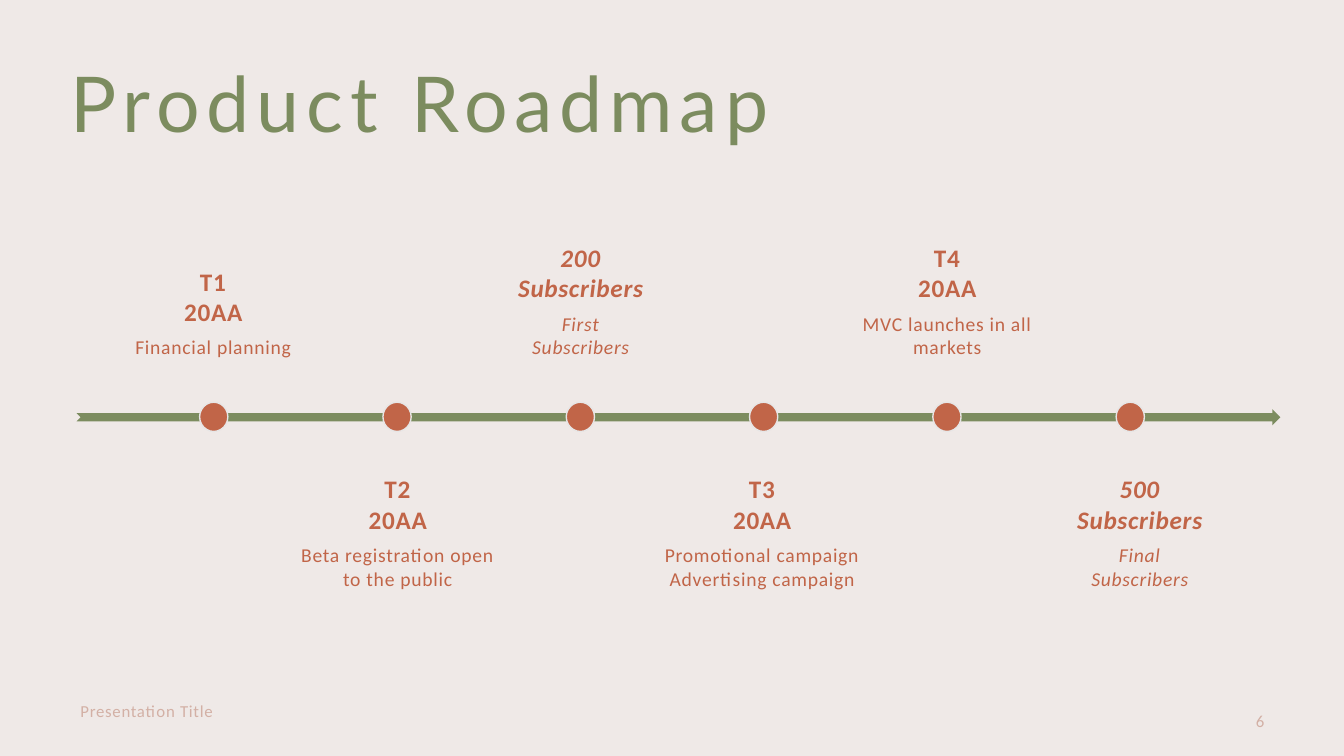
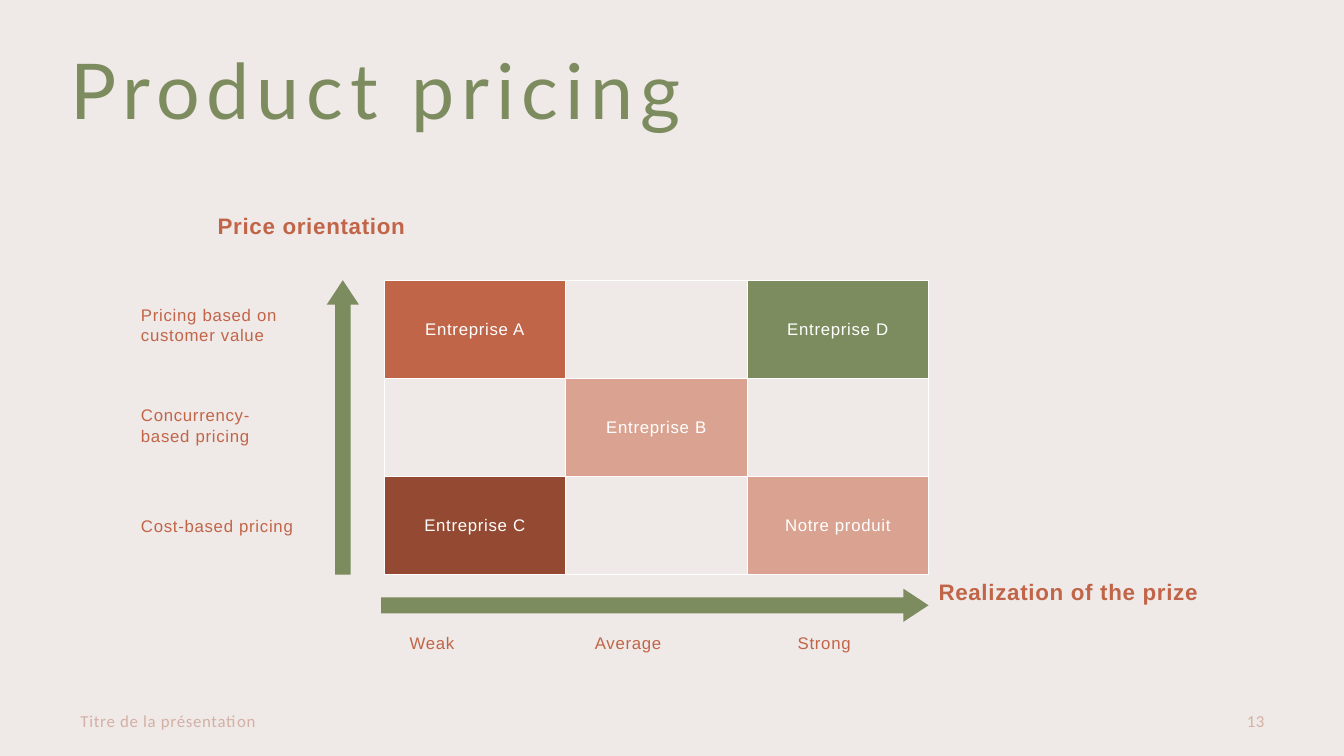
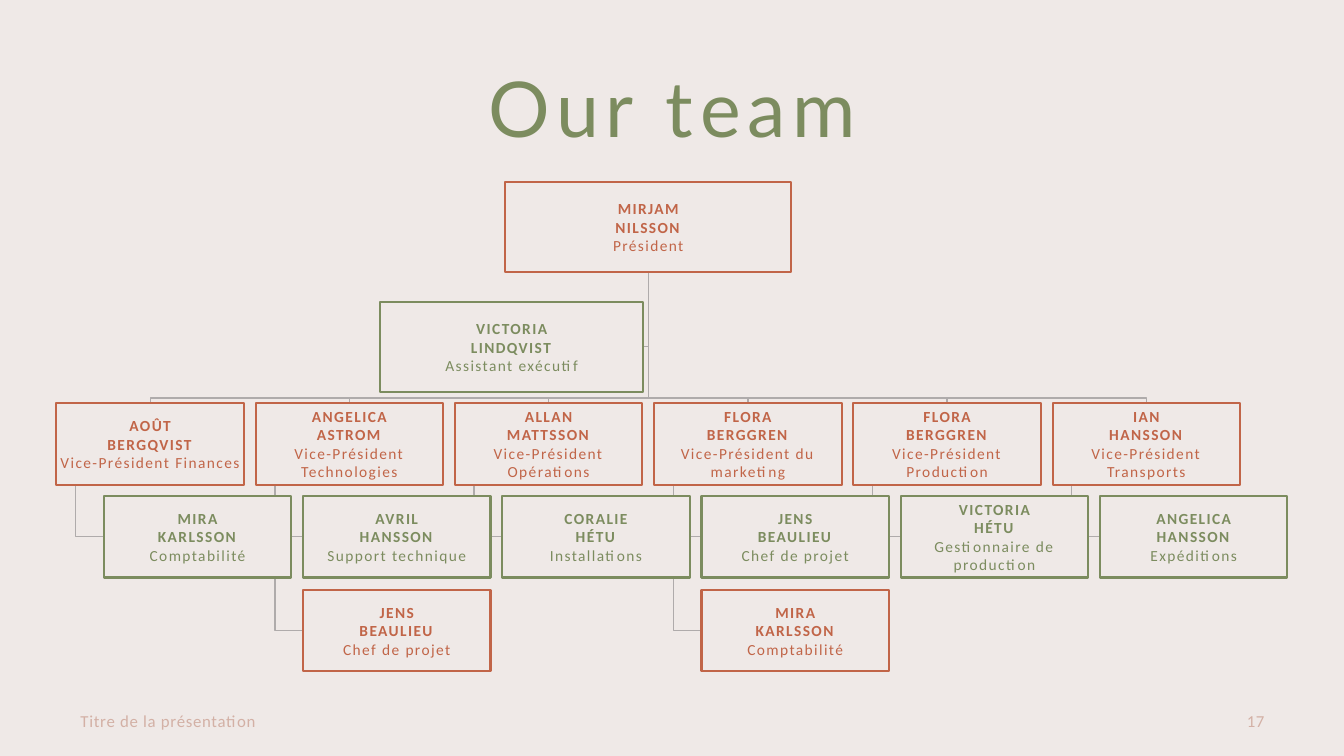
"""Build a three-slide product deck: roadmap, pricing matrix and team chart."""
from dataclasses import dataclass, replace

from lxml import etree
from pptx import Presentation
from pptx.dml.color import RGBColor
from pptx.enum.shapes import MSO_SHAPE
from pptx.enum.text import MSO_ANCHOR, PP_ALIGN
from pptx.oxml.ns import qn
from pptx.util import Inches, Pt

LEFT, CENTER, RIGHT = PP_ALIGN.LEFT, PP_ALIGN.CENTER, PP_ALIGN.RIGHT
TOP, MIDDLE, BOTTOM = MSO_ANCHOR.TOP, MSO_ANCHOR.MIDDLE, MSO_ANCHOR.BOTTOM
RECTANGLE, OVAL = MSO_SHAPE.RECTANGLE, MSO_SHAPE.OVAL
NOTCHED_ARROW = MSO_SHAPE.NOTCHED_RIGHT_ARROW
UP_ARROW, RIGHT_ARROW = MSO_SHAPE.UP_ARROW, MSO_SHAPE.RIGHT_ARROW

CREAM = RGBColor(0xEF, 0xE9, 0xE7)
GREEN = RGBColor(0x7C, 0x8C, 0x5F)
RUST = RGBColor(0xC1, 0x65, 0x48)
DARK_RUST = RGBColor(0x94, 0x4A, 0x32)
PINK = RGBColor(0xDA, 0xA3, 0x91)
MUTED = RGBColor(0xD3, 0xB0, 0xA5)
SILVER = RGBColor(0xE7, 0xE6, 0xE6)
GRAY = RGBColor(0xAF, 0xAB, 0xAB)
WHITE = RGBColor(0xFF, 0xFF, 0xFF)


@dataclass(frozen=True)
class Style:
    """Character formatting of a span."""
    font: str
    size: float
    color: RGBColor
    spacing: float = 0.5
    bold: bool = False
    italic: bool = False


TITLE = Style("Lato", 55, GREEN, spacing=5)
FOOTER = Style("Calibri", 12, MUTED)
MILESTONE = Style("Calibri", 18, RUST, bold=True)
DETAIL = Style("Calibri", 14, RUST)
AXIS_LABEL = Style("Arial", 12, RUST)
AXIS_TITLE = Style("Arial", 16, RUST, bold=True)
CELL = Style("Arial", 12, WHITE)

MILESTONES = [
    (0.87, 2.49, ["T1", "20AA"], ["Financial planning"], False),
    (2.80, 2.29, ["T2", "20AA"], ["Beta registration open to the public"], False),
    (4.86, 1.80, ["200 Subscribers"], ["First", "Subscribers"], True),
    (6.31, 2.50, ["T3", "20AA"], ["Promotional campaign", "Advertising campaign"], False),
    (8.27, 2.25, ["T4", "20AA"], ["MVC launches in all markets"], False),
    (10.42, 1.77, ["500 Subscribers"], ["Final", "Subscribers"], True),
]

PRICING = [
    [("Entreprise A", RUST), ("", CREAM), ("Entreprise D", GREEN)],
    [("", CREAM), ("Entreprise B", PINK), ("", CREAM)],
    [("Entreprise C", DARK_RUST), ("", CREAM), ("Notre produit", PINK)],
]

TEAMS = [
    [("AOÛT", "BERGQVIST", "Vice-Président Finances"),
     ("MIRA", "KARLSSON", "Comptabilité")],
    [("ANGELICA", "ASTROM", "Vice-Président Technologies"),
     ("AVRIL", "HANSSON", "Support technique"),
     ("JENS", "BEAULIEU", "Chef de projet")],
    [("ALLAN", "MATTSSON", "Vice-Président Opérations"),
     ("CORALIE", "HÉTU", "Installations")],
    [("FLORA", "BERGGREN", "Vice-Président du marketing"),
     ("JENS", "BEAULIEU", "Chef de projet"),
     ("MIRA", "KARLSSON", "Comptabilité")],
    [("FLORA", "BERGGREN", "Vice-Président Production"),
     ("VICTORIA", "HÉTU", "Gestionnaire de production")],
    [("IAN", "HANSSON", "Vice-Président Transports"),
     ("ANGELICA", "HANSSON", "Expéditions")],
]


def add_span(para, text, style):
    """Add one formatted run."""
    span = para.add_run()
    span.text = text
    font = span.font
    font.name, font.size = style.font, Pt(style.size)
    font.bold, font.italic = style.bold, style.italic
    font.color.rgb = style.color
    span._r.get_or_add_rPr().set("spc", str(int(style.spacing * 100)))


def add_lines(para, spans):
    """Write spans into a paragraph, each on its own line."""
    for index, (text, style) in enumerate(spans):
        if index:
            para.add_line_break()
            etree.SubElement(para._p[-1], qn("a:rPr"), sz=str(style.size * 100))
        add_span(para, text, style)


def fill_frame(frame, paragraphs, align=LEFT, anchor=TOP, inset=None, after=0):
    """Fill a text frame with paragraphs of line spans."""
    frame.word_wrap = True
    frame.vertical_anchor = anchor
    if inset is not None:
        frame.margin_left = frame.margin_right = Inches(inset)
        frame.margin_top = frame.margin_bottom = Inches(inset)
    for index, spans in enumerate(paragraphs):
        para = frame.add_paragraph() if index else frame.paragraphs[0]
        para.alignment = align
        para.space_after = Pt(after)
        add_lines(para, spans)


def add_text(page, at, paragraphs, **layout):
    """Add a text box and return it."""
    box = page.shapes.add_textbox(*map(Inches, at))
    fill_frame(box.text_frame, paragraphs, **layout)
    return box


def add_figure(page, kind, at, fill, line=None, width=1):
    """Add a flat preset shape and return it."""
    shape = page.shapes.add_shape(kind, *map(Inches, at))
    shape.shadow.inherit = False
    shape.fill.solid()
    shape.fill.fore_color.rgb = fill
    if line is None:
        shape.line.fill.background()
    else:
        shape.line.color.rgb = line
        shape.line.width = Pt(width)
    return shape


def add_elbow(page, points):
    """Draw a thin gray line through the given points."""
    corners = [(Inches(x), Inches(y)) for x, y in points]
    builder = page.shapes.build_freeform(*corners[0], scale=1.0)
    builder.add_line_segments(corners[1:], close=False)
    elbow = builder.convert_to_shape()
    elbow.shadow.inherit = False
    elbow.fill.background()
    elbow.line.color.rgb = GRAY
    elbow.line.width = Pt(1)


def start_page(deck, title, number, footer, title_top, align=LEFT, footer_top=6.95):
    """Add a blank slide with its title, footer and number."""
    page = deck.slides.add_slide(deck.slide_layouts[6])
    heading = add_text(page, (0.7, title_top, 11.94, 1.7), [[(title, TITLE)]],
                       align=align, inset=0)
    heading.text_frame.paragraphs[0].line_spacing = 0.9
    add_text(page, (0.7, footer_top, 4.5, 0.4), [[(footer, FOOTER)]], anchor=MIDDLE)
    add_text(page, (9.64, 6.95, 3, 0.4), [[(number, FOOTER)]], align=RIGHT, anchor=MIDDLE)
    return page


def add_roadmap(deck):
    """Build the timeline slide."""
    page = start_page(deck, "Product Roadmap", "6", "Presentation Title", 0.66,
                      footer_top=6.85)
    add_figure(page, NOTCHED_ARROW, (0.76, 4.06, 11.94, 0.16), GREEN)
    step = (11.07 - 1.98) / (len(MILESTONES) - 1)
    for index, (left, width, heading, detail, italic) in enumerate(MILESTONES):
        below = index % 2
        paragraphs = [[(text, replace(style, italic=italic)) for text in lines]
                      for lines, style in ((heading, MILESTONE), (detail, DETAIL))]
        add_text(page, (left, 4.56 if below else 1.98, width, 1.72), paragraphs,
                 align=CENTER, anchor=TOP if below else BOTTOM, inset=0.14, after=6.3)
        add_figure(page, OVAL, (1.98 + index * step, 3.99, 0.28, 0.29), RUST, SILVER)


def style_cell(cell, text, color):
    """Fill a matrix cell and give it white borders."""
    if text:
        fill_frame(cell.text_frame, [[(text, CELL)]], align=CENTER)
    cell.vertical_anchor = MIDDLE
    properties = cell._tc.get_or_add_tcPr()
    for side in ("lnL", "lnR", "lnT", "lnB"):
        border = etree.SubElement(properties, qn("a:" + side), w=str(Pt(1)))
        paint = etree.SubElement(border, qn("a:solidFill"))
        etree.SubElement(paint, qn("a:srgbClr"), val=str(WHITE))
    cell.fill.solid()
    cell.fill.fore_color.rgb = color


def add_matrix(page):
    """Add the three by three pricing table."""
    size = len(PRICING)
    frame = page.shapes.add_table(size, size, *map(Inches, (3.81, 2.78, 5.4, 2.92)))
    table = frame.table
    table.first_row = table.horz_banding = False
    for row_index, row in enumerate(PRICING):
        for column_index, (text, color) in enumerate(row):
            style_cell(table.cell(row_index, column_index), text, color)


def add_pricing(deck):
    """Build the pricing matrix slide."""
    page = start_page(deck, "Product pricing", "13", "Titre de la présentation", 0.53)
    for kind, at in ((UP_ARROW, (3.24, 2.78, 0.32, 2.92)),
                     (RIGHT_ARROW, (3.78, 5.84, 5.43, 0.33))):
        arrow = add_figure(page, kind, at, GREEN)
        arrow.adjustments[0], arrow.adjustments[1] = 0.48, 0.76
    for top, label in ((2.97, "Pricing based on customer value"),
                       (3.97, "Concurrency-based pricing"),
                       (5.07, "Cost-based pricing")):
        add_text(page, (1.3, top, 1.77, 0.5), [[(label, AXIS_LABEL)]])
    for index, label in enumerate(("Weak", "Average", "Strong")):
        add_text(page, (3.66 + index * 1.945, 6.23, 1.25, 0.3),
                 [[(label, AXIS_LABEL)]], align=CENTER)
    add_text(page, (2.06, 2.06, 2.68, 0.4), [[("Price orientation", AXIS_TITLE)]])
    add_text(page, (9.21, 5.69, 3.05, 0.4), [[("Realization of the prize", AXIS_TITLE)]])
    add_matrix(page)


def add_person(page, at, person, color):
    """Add an outlined card with a name and a role."""
    first, last, role = person
    name = Style("Calibri", 11, color, spacing=1, bold=True)
    card = add_figure(page, RECTANGLE, at, CREAM, color, 1.5)
    fill_frame(card.text_frame,
               [[(first, name)], [(last, name), (role, replace(name, bold=False))]],
               align=CENTER, anchor=MIDDLE, inset=0.01)


def add_team(deck):
    """Build the organisation chart slide."""
    page = start_page(deck, "Our team", "17", "Titre de la présentation", 0.7, align=CENTER)
    width, height, indent = 1.86, 0.81, 0.47
    tops = (4, 4.92, 5.85)
    trunk, trunk_top, rail = 6.43, 2.7, 3.95
    step = (10.44 - 0.56) / (len(TEAMS) - 1)
    lefts = [0.56 + index * step for index in range(len(TEAMS))]

    add_elbow(page, [(trunk, trunk_top), (trunk, 3.44), (6.38, 3.44)])
    for left, team in zip(lefts, TEAMS):
        middle, stem = left + width / 2, left + 0.19
        add_elbow(page, [(trunk, trunk_top), (trunk, rail), (middle, rail), (middle, tops[0])])
        for top in tops[1:len(team)]:
            level = top + height / 2
            add_elbow(page, [(stem, tops[0] + height), (stem, level), (left + indent, level)])

    add_person(page, (5.01, 1.81, 2.84, 0.89), ("MIRJAM", "NILSSON", "Président"), RUST)
    add_person(page, (3.77, 3, 2.61, 0.89),
               ("VICTORIA", "LINDQVIST", "Assistant exécutif"), GREEN)
    for left, team in zip(lefts, TEAMS):
        for rank, person in enumerate(team):
            add_person(page, (left + (indent if rank else 0), tops[rank], width, height),
                       person, GREEN if rank == 1 else RUST)


def main():
    """Create and save the deck."""
    deck = Presentation()
    deck.slide_width, deck.slide_height = Inches(13.33), Inches(7.5)
    background = deck.slide_master.background.fill
    background.solid()
    background.fore_color.rgb = CREAM
    add_roadmap(deck)
    add_pricing(deck)
    add_team(deck)
    deck.save("out.pptx")


if __name__ == "__main__":
    main()
